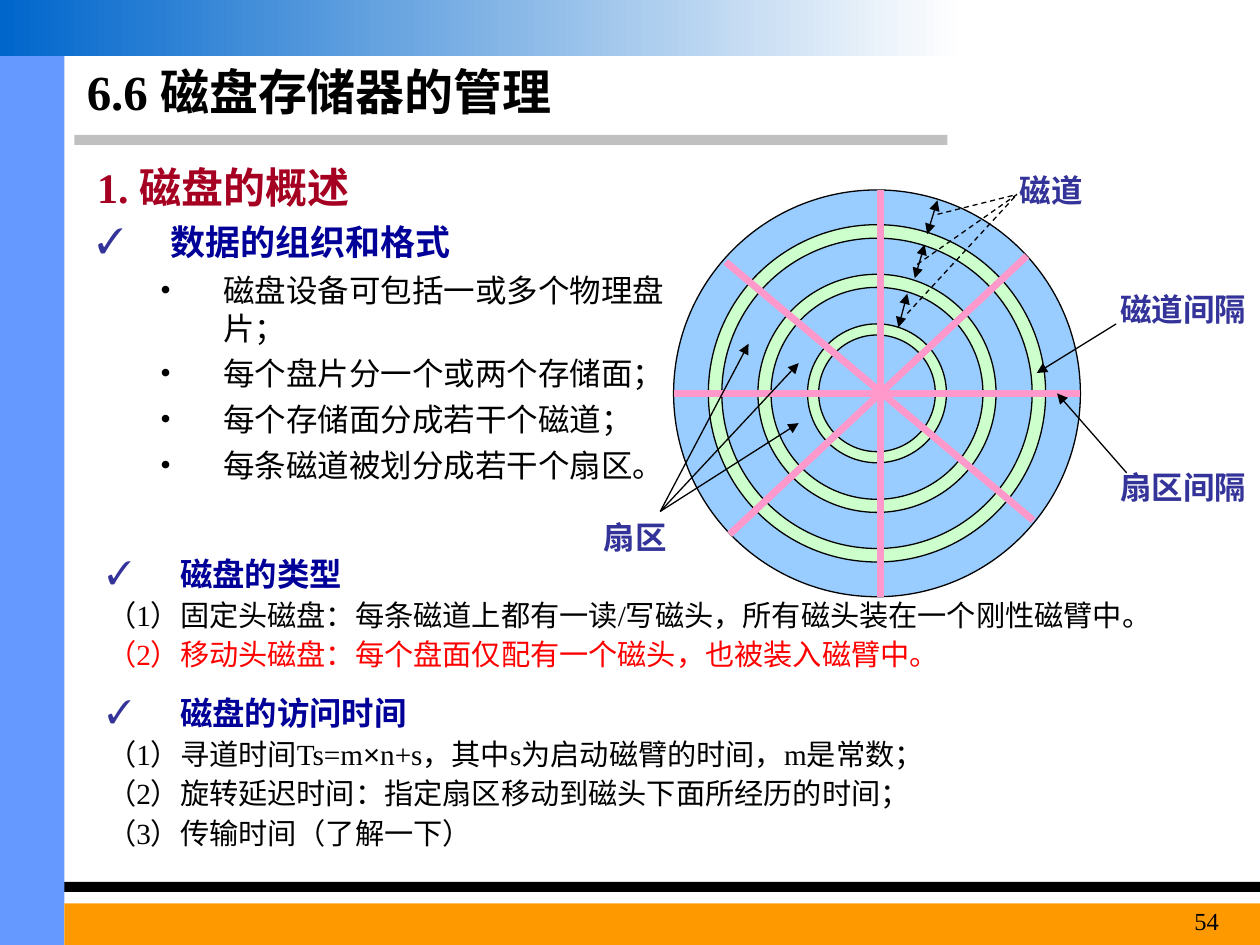
from collections import namedtuple
from dataclasses import dataclass

from lxml.etree import SubElement
from pptx import Presentation
from pptx.dml.color import RGBColor
from pptx.enum.dml import MSO_LINE_DASH_STYLE as Dash
from pptx.enum.shapes import MSO_CONNECTOR as Connector, MSO_SHAPE as Preset
from pptx.enum.text import MSO_ANCHOR as Anchor, PP_ALIGN as Align
from pptx.oxml.ns import qn
from pptx.util import Cm, Pt

Box = namedtuple("Box", "left top width height")
Style = namedtuple("Style", "size color bold")


@dataclass(frozen=True)
class Theme:
    font: str = "Times New Roman"
    symbol_font: str = "Arial"
    black: str = "000000"
    grey: str = "C0C0C0"
    side: str = "6699FF"
    footer: str = "FF9900"
    banner: tuple = ("0066CC", "FEFEFE")
    disk: str = "99CCFF"
    ring: str = "CCFFCC"
    spoke: str = "FF99CC"
    check: str = "333399"
    title: Style = Style(28, "000000", True)
    heading: Style = Style(24, "A50021", True)
    topic: Style = Style(20, "000099", True)
    point: Style = Style(18, "000000", False)
    subtopic: Style = Style(18.5, "000099", True)
    detail: Style = Style(16.7, "000000", False)
    alert: Style = Style(16.7, "FF0000", False)
    label: Style = Style(18, "333399", True)
    number: Style = Style(14, "000000", False)


THEME = Theme()
PAGE = Box(0, 0, 25.4, 19.05)


def rgb(code):
    return RGBColor.from_string(code)


def add_figure(page, preset, box, color, outlined=False):
    figure = page.shapes.add_shape(preset, *map(Cm, box))
    figure.shadow.inherit = False
    figure.fill.solid()
    figure.fill.fore_color.rgb = rgb(color)
    if outlined:
        figure.line.color.rgb = rgb(THEME.black)
        figure.line.width = Pt(0.75)
    else:
        figure.line.fill.background()
    return figure


def add_line(page, start, end, color=THEME.black, width=0.75, heads=(), dashed=False):
    """Draws a straight line; heads may hold headEnd (start) and tailEnd (end)."""
    line = page.shapes.add_connector(Connector.STRAIGHT, *map(Cm, (*start, *end)))
    line.line.color.rgb = rgb(color)
    line.line.width = Pt(width)
    if dashed:
        line.line.dash_style = Dash.DASH
    outline = line.line._get_or_add_ln()
    for head in heads:
        SubElement(outline, qn(f"a:{head}"), type="triangle")
    SubElement(line._element.spPr, qn("a:effectLst"))


def add_text_box(page, box, wrap=True):
    frame = page.shapes.add_textbox(*map(Cm, box)).text_frame
    frame.word_wrap = wrap
    return frame


def add_para(frame, spans, style, indent=(0, 0), bullet=None, before=0, spacing=None,
             align=Align.LEFT):
    """Adds a paragraph; spans is a text or a list of (text, font) pairs."""
    first = not frame.paragraphs[0].runs
    para = frame.paragraphs[0] if first else frame.add_paragraph()
    para.alignment = align
    para.space_before = Pt(0 if first else before)
    if spacing:
        para.line_spacing = spacing
    props = para._p.get_or_add_pPr()
    margin, hanging = indent
    props.set("marL", str(Cm(margin)))
    props.set("indent", str(Cm(-hanging)))
    if bullet:
        mark, color = bullet
        SubElement(SubElement(props, qn("a:buClr")), qn("a:srgbClr"), val=color)
        SubElement(props, qn("a:buFont"), typeface=THEME.font)
        SubElement(props, qn("a:buChar"), char=mark)
    if isinstance(spans, str):
        spans = [(spans, THEME.font)]
    for text, font in spans:
        span = para.add_run()
        span.text = text
        span.font.name = font
        span.font.size = Pt(style.size)
        span.font.bold = style.bold
        span.font.color.rgb = rgb(style.color)


def add_frame_bars(page, box):
    side, banner = 1.3, 1.13
    add_figure(page, Preset.RECTANGLE, (box.left + 1.5, box.top + 2.72, 17.6, 0.2), THEME.grey)
    add_figure(page, Preset.RECTANGLE, (box.left, box.top + 17.78, box.width, 0.2), THEME.black)
    add_figure(page, Preset.RECTANGLE,
               (box.left, box.top + banner, side, box.height - banner), THEME.side)
    add_figure(page, Preset.RECTANGLE,
               (box.left + side, box.top + 18.21, box.width - side, 0.84), THEME.footer)
    top = add_figure(page, Preset.RECTANGLE, (box.left, box.top, 19.3, banner), THEME.banner[0])
    top.fill.gradient()
    top.fill.gradient_angle = 0
    for stop, color in zip(top.fill.gradient_stops, THEME.banner):
        stop.color.rgb = rgb(color)


def add_line_of_text(page, box, text, style, align=Align.LEFT, margin=0, wrap=True):
    frame = add_text_box(page, box, wrap)
    add_para(frame, text, style, indent=(margin, 0), align=align)
    return frame


def add_points(page, box, topic, points):
    frame = add_text_box(page, box)
    add_para(frame, topic, THEME.topic, (1.47, 1.47), ("✓", THEME.check))
    for point in points:
        add_para(frame, point, THEME.point, (2.54, 1.27), ("•", THEME.black), before=4.5)


def add_details(page, box, topic, details):
    frame = add_text_box(page, box)
    hanging = (1.47, 1.47)
    add_para(frame, topic, THEME.subtopic, hanging, ("✓", THEME.check), spacing=0.9)
    for spans, style in details:
        add_para(frame, spans, style, hanging, before=4.5, spacing=0.9)


def add_disk(page, box):
    """Draws platter, gaps, spokes and labels around the centre of the box."""
    center_x, center_y = box.left + box.width / 2, box.top + box.height / 2
    radius = box.width / 2

    def at(point):
        return center_x + point[0], center_y + point[1]

    def around(diameter):
        return (*at((-diameter / 2, -diameter / 2)), diameter, diameter)

    add_figure(page, Preset.OVAL, around(box.width), THEME.disk, outlined=True)
    for diameter, thickness in ((6.8, 0.04), (4.8, 0.055), (2.8, 0.08)):
        ring = add_figure(page, Preset.DONUT, around(diameter), THEME.ring, outlined=True)
        ring.adjustments[0] = thickness

    spokes = (((-radius, 0), (radius, 0)), ((-3.05, -2.65), (3.15, 2.56)),
              ((0.07, radius), (0.07, -radius)), ((-2.97, 2.84), (3.02, -2.77)))
    for start, end in spokes:
        add_line(page, at(start), at(end), THEME.spoke, 4)

    labels = (("扇区", (-5.97, 2.38), 2.2), ("磁道", (2.41, -4.6), 2.2),
              ("磁道间隔", (4.62, -2.21), 3.1), ("扇区间隔", (4.62, 1.39), 3.1))
    for text, corner, width in labels:
        add_line_of_text(page, (*at(corner), width, 1.02), text, THEME.label,
                         Align.CENTER, wrap=False)

    sector_label, track_label = (-4.37, 2.38), (2.82, -4.01)
    pointers = [((5.03, 1.6), (3.63, 0)), ((4.82, -1.4), (3.22, -0.41))]
    pointers += [(sector_label, tip) for tip in ((-2.59, -1), (-1.58, -0.61), (-1.58, 0.6))]
    for start, end in pointers:
        add_line(page, at(start), at(end), heads=("tailEnd",))
    tracks = (((1.22, -3.89), (1.01, -3.21), (1.22, -3.61)),
              ((0.96, -3), (0.76, -2.32), (0.81, -2.6)),
              ((0.61, -2.01), (0.43, -1.33), (0.61, -1.61)))
    for outer, inner, leader in tracks:
        add_line(page, at(outer), at(inner), heads=("headEnd", "tailEnd"))
        add_line(page, at(leader), at(track_label), dashed=True)


def main():
    deck = Presentation()
    deck.slide_width, deck.slide_height = Cm(PAGE.width), Cm(PAGE.height)
    page = deck.slides.add_slide(deck.slide_layouts[6])
    add_frame_bars(page, PAGE)
    title = add_line_of_text(page, Box(1.5, 1.13, 17.4, 1.4), "6.6 磁盘存储器的管理", THEME.title)
    title.vertical_anchor = Anchor.MIDDLE
    add_line_of_text(page, Box(1.5, 3.14, 22.6, 1.27), "1. 磁盘的概述", THEME.heading, margin=0.21)
    add_points(page, Box(1.71, 4.33, 12.2, 6.4), "数据的组织和格式", (
        "磁盘设备可包括一或多个物理盘片；", "每个盘片分一个或两个存储面；",
        "每个存储面分成若干个磁道；", "每条磁道被划分成若干个扇区。"))
    add_details(page, Box(1.91, 11.13, 23.3, 2.8), "磁盘的类型", (
        ("（1）固定头磁盘：每条磁道上都有一读/写磁头，所有磁头装在一个刚性磁臂中。", THEME.detail),
        ("（2）移动头磁盘：每个盘面仅配有一个磁头，也被装入磁臂中。", THEME.alert)))
    seek_time = [("（1）寻道时间Ts=m", THEME.font), ("×", THEME.symbol_font),
                 ("n+s，其中s为启动磁臂的时间，m是常数；", THEME.font)]
    add_details(page, Box(1.91, 13.93, 23, 3.8), "磁盘的访问时间", (
        (seek_time, THEME.detail),
        ("（2）旋转延迟时间：指定扇区移动到磁头下面所经历的时间；", THEME.detail),
        ("（3）传输时间（了解一下）", THEME.detail)))
    add_disk(page, Box(13.58, 3.83, 8.2, 8.2))
    add_line_of_text(page, Box(22.52, 18.13, 2.3, 0.91), "54", THEME.number, Align.RIGHT)
    deck.save("out.pptx")


if __name__ == "__main__":
    main()
